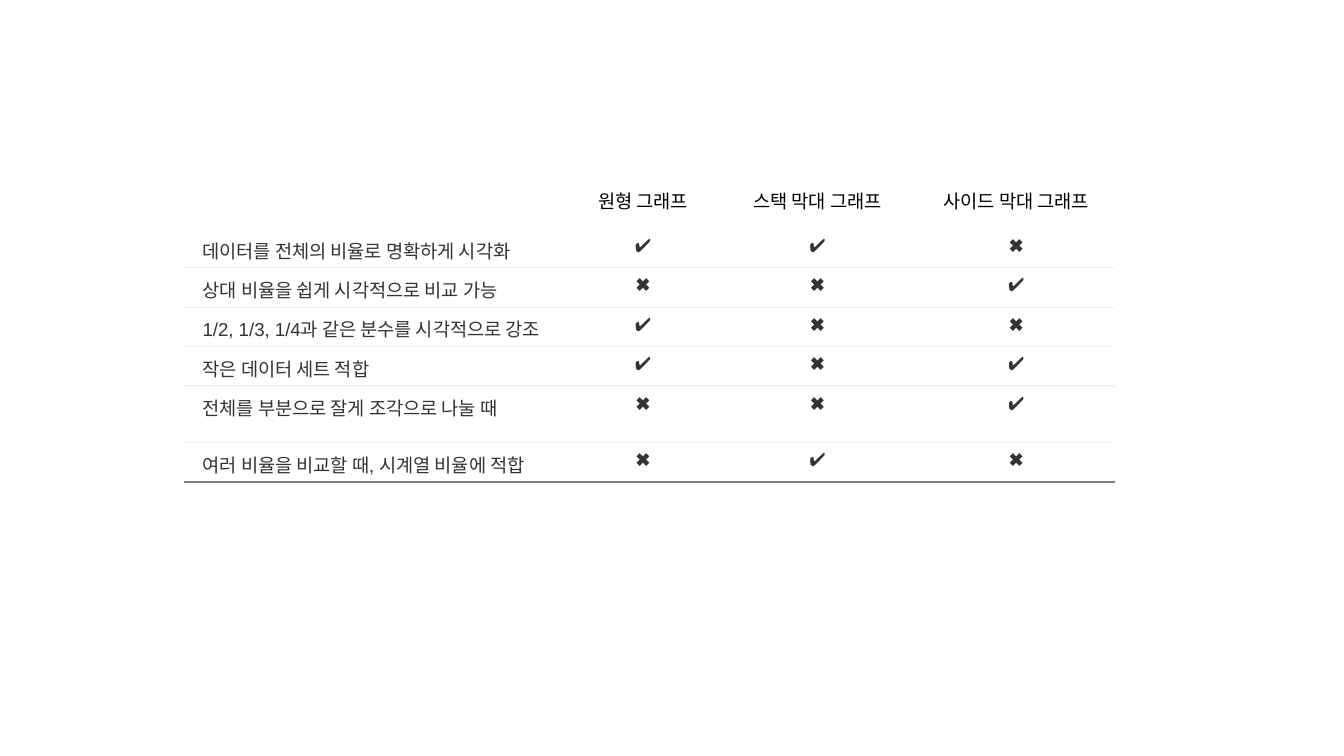
from lxml import etree
from pptx import Presentation
from pptx.dml.color import RGBColor
from pptx.enum.text import PP_ALIGN
from pptx.oxml.ns import qn
from pptx.util import Cm, Pt

CENTER = PP_ALIGN.CENTER
LEFT = PP_ALIGN.LEFT
WHITE = RGBColor(0xFF, 0xFF, 0xFF)
BLACK = RGBColor(0, 0, 0)
DARK = RGBColor(0x33, 0x33, 0x33)
PALE = RGBColor(0xF0, 0xF0, 0xF0)
GRAY = RGBColor(0x80, 0x80, 0x80)
FONT = "Arial"
COLUMN_WIDTHS = (7.26, 2.82, 3.78, 3.73)
ROW_HEIGHT = 0.28
TALL_ROW, TALL_HEIGHT = 5, 1.07
CONTENT = (
    ("", "원형 그래프", "스택 막대 그래프", "사이드 막대 그래프"),
    ("데이터를 전체의 비율로 명확하게 시각화", "✔", "✔", "✖"),
    ("상대 비율을 쉽게 시각적으로 비교 가능", "✖", "✖", "✔"),
    ("1/2, 1/3, 1/4과 같은 분수를 시각적으로 강조", "✔", "✖", "✖"),
    ("작은 데이터 세트 적합", "✔", "✖", "✔"),
    ("전체를 부분으로 잘게 조각으로 나눌 때", "✖", "✖", "✔"),
    ("여러 비율을 비교할 때, 시계열 비율에 적합", "✖", "✔", "✖"),
)


def set_borders(cell, top, bottom):
    """Draw the top and bottom cell borders and hide the side ones."""
    properties = cell._tc.get_or_add_tcPr()
    sides = (("a:lnL", None), ("a:lnR", None), ("a:lnT", top), ("a:lnB", bottom))
    for tag, color in sides:
        line = etree.SubElement(properties, qn(tag), w=str(Pt(0.75)))
        if color is None:
            etree.SubElement(line, qn("a:noFill"))
        else:
            fill = etree.SubElement(line, qn("a:solidFill"))
            etree.SubElement(fill, qn("a:srgbClr"), val=str(color))


def fill_cell(cell, text, color, alignment):
    """Give a cell its white fill, margins and text."""
    cell.fill.solid()
    cell.fill.fore_color.rgb = WHITE
    cell.margin_left = cell.margin_right = Cm(0.35)
    cell.margin_top = cell.margin_bottom = Cm(0.08)
    if not text:
        return
    para = cell.text_frame.paragraphs[0]
    para.text = text
    para.alignment = alignment
    para.line_spacing = 1.15
    para.space_after = Pt(9)
    span = para.runs[0]
    span.font.name = FONT
    span.font.size = Pt(10)
    span.font.color.rgb = color


def add_comparison_table(page):
    """Add the table that compares the three chart types."""
    heights = [ROW_HEIGHT] * len(CONTENT)
    heights[TALL_ROW] = TALL_HEIGHT
    frame = page.shapes.add_table(
        len(CONTENT), len(COLUMN_WIDTHS), Cm(3.48), Cm(3.38),
        Cm(sum(COLUMN_WIDTHS)), Cm(sum(heights)))
    table = frame.table
    table.first_row = False
    table.horz_banding = False
    for column, width in zip(table.columns, COLUMN_WIDTHS):
        column.width = Cm(width)
    last = len(CONTENT) - 1
    for index, texts in enumerate(CONTENT):
        row = table.rows[index]
        row.height = Cm(heights[index])
        top = PALE if index > 1 else None
        bottom = GRAY if index == last else PALE if index else None
        color = DARK if index else BLACK
        for position, (cell, text) in enumerate(zip(row.cells, texts)):
            set_borders(cell, top, bottom)
            fill_cell(cell, text, color, CENTER if position else LEFT)


def main():
    """Build the deck and save it."""
    deck = Presentation()
    deck.slide_width, deck.slide_height = Cm(25.4), Cm(14.29)
    page = deck.slides.add_slide(deck.slide_layouts[6])
    add_comparison_table(page)
    deck.save("out.pptx")


if __name__ == "__main__":
    main()
